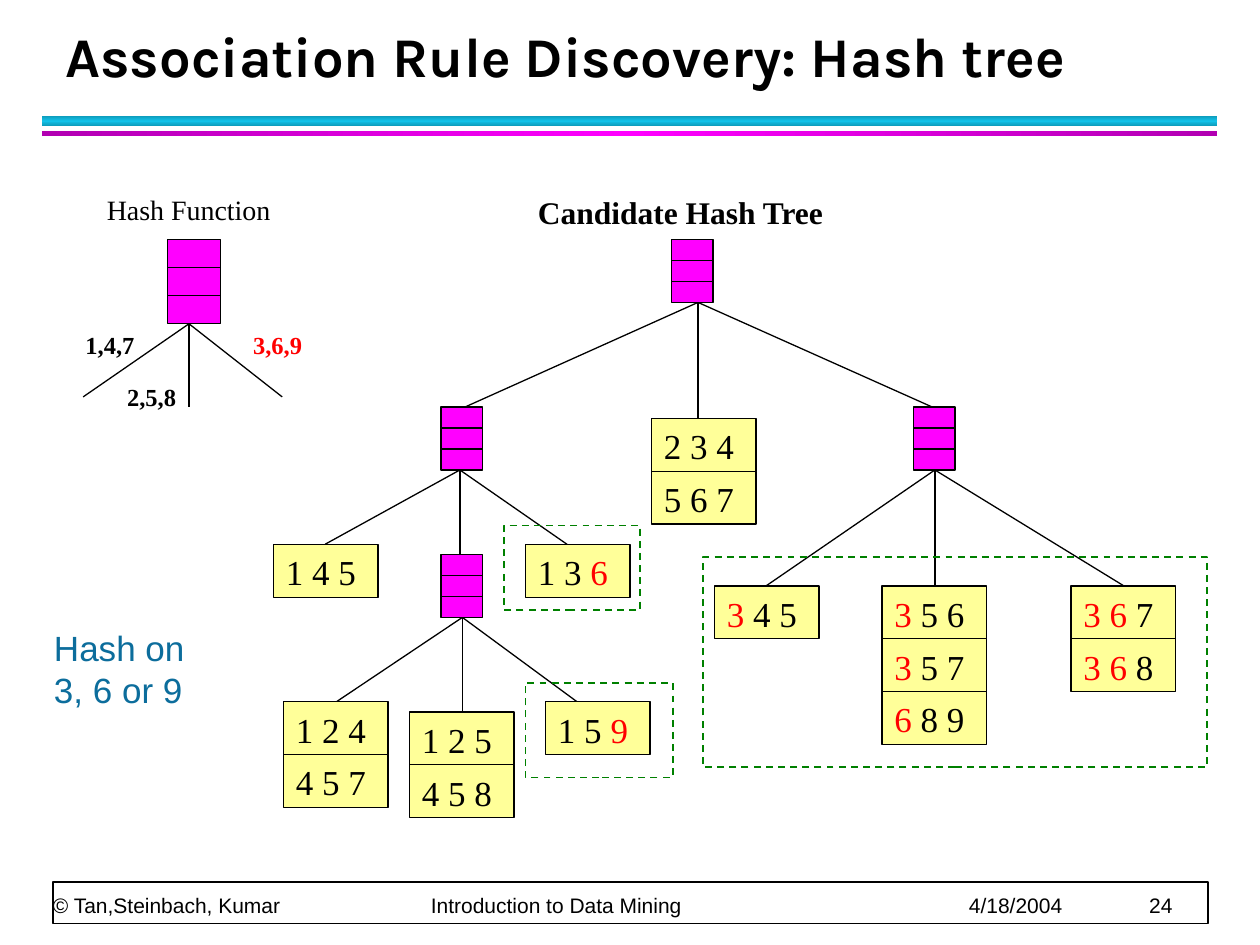
from copy import deepcopy
from dataclasses import dataclass

from pptx import Presentation
from pptx.dml.color import RGBColor
from pptx.enum.dml import MSO_LINE
from pptx.enum.shapes import MSO_CONNECTOR as Connector, MSO_SHAPE as Shape
from pptx.enum.text import MSO_ANCHOR as Anchor, PP_ALIGN as Align
from pptx.oxml.ns import qn
from pptx.util import Inches, Pt
from lxml.etree import SubElement


@dataclass(frozen=True)
class Theme:
    black: str = "000000"
    white: str = "FFFFFF"
    red: str = "FF0000"
    bucket: str = "FF00FF"
    leaf: str = "FFFF99"
    focus: str = "008000"
    note: str = "0C6D9C"
    cyan_band: tuple = ("0E9BBA", "12C2E9", "0E9BBA")
    magenta_band: tuple = ("B200B2", "FF00FF", "B200B2")
    title_font: str = "Karla"
    sans: str = "Arial"
    serif: str = "Times New Roman"
    title_size: int = 32
    leaf_size: int = 20
    heading_size: int = 18
    caption_size: int = 16
    label_size: int = 14
    footer_size: int = 12
    thin: float = 0.75
    frame: float = 1


LEAF_WIDTH, LEAF_HEIGHT = 0.83, 0.42
BUCKET_WIDTH, BUCKET_HEIGHT = 0.33, 0.5

# Start of each fan of branches, then the ends of the branches
TREE_FANS = [
    ((5.54, 2.4), [(3.67, 3.24), (5.54, 3.32), (7.42, 3.24)]),
    ((3.65, 3.73), [(2.58, 4.32), (3.65, 4.4), (4.5, 4.32)]),
    ((7.42, 3.73), [(6.08, 4.65), (7.42, 4.65), (8.92, 4.65)]),
    ((3.67, 4.9), [(2.67, 5.57), (3.67, 5.65), (4.58, 5.57)]),
]
HASH_FAN = ((1.5, 2.57), [(0.66, 3.15), (1.5, 3.23), (2.24, 3.15)])
BUCKETS = [(5.33, 1.9), (3.5, 3.23), (7.25, 3.23), (3.5, 4.4)]
# Items between bars are highlighted
LEAVES = [
    (2.17, 4.32, ["1 4 5"]),
    (4.17, 4.32, ["1 3 |6|"]),
    (5.17, 3.32, ["2 3 4", "5 6 7"]),
    (2.25, 5.57, ["1 2 4", "4 5 7"]),
    (3.25, 5.65, ["1 2 5", "4 5 8"]),
    (4.33, 5.57, ["1 5 |9|"]),
    (5.67, 4.65, ["|3| 4 5"]),
    (7, 4.65, ["|3| 5 6", "|3| 5 7", "|6| 8 9"]),
    (8.5, 4.65, ["|3 6| 7", "|3 6| 8"]),
]
FOCUS_FRAMES = [(4, 4.17, 1.08, 0.67), (4.17, 5.42, 1.17, 0.75), (5.58, 4.42, 4, 1.67)]
FOOTER = ["© Tan,Steinbach, Kumar", "Introduction to Data Mining", "4/18/2004", "24"]
FOOTER_TABS = [3, 7.27, 8.7]


def set_all(target, values):
    for name, value in values.items():
        setattr(target, name, value)


class SlidePainter:
    def __init__(self, page, theme):
        self.page, self.theme = page, theme

    def fill_text(self, shape, text, size, font, color=None, bold=False,
                  frame_format=None, para_format=None):
        """Fill a shape with one paragraph; parts between bars turn red."""
        frame = shape.text_frame
        set_all(frame, {"word_wrap": True, "vertical_anchor": Anchor.TOP, **(frame_format or {})})
        para = frame.paragraphs[0]
        set_all(para, {"alignment": Align.LEFT, **(para_format or {})})
        for index, part in enumerate(text.split("|")):
            if part:
                span = para.add_run()
                span.text = part
                set_all(span.font, {"size": Pt(size), "name": font, "bold": bold})
                tint = self.theme.red if index % 2 else color or self.theme.black
                span.font.color.rgb = RGBColor.from_string(tint)
        return para

    def text(self, place, text, size, font, **formats):
        box = self.page.shapes.add_textbox(*map(Inches, place))
        return self.fill_text(box, text, size, font, **formats)

    def rect(self, place, fill=None, line=None, width=None, dash=None):
        shape = self.page.shapes.add_shape(Shape.RECTANGLE, *map(Inches, place))
        shape.shadow.inherit = False
        if fill:
            shape.fill.solid()
            shape.fill.fore_color.rgb = RGBColor.from_string(fill)
        else:
            shape.fill.background()
        if line:
            shape.line.color.rgb = RGBColor.from_string(line)
            set_all(shape.line, {"width": Pt(width or self.theme.thin), "dash_style": dash})
        else:
            shape.line.fill.background()
        return shape

    def band(self, place, colors, angle):
        shape = self.rect(place)
        shape.fill.gradient()
        shape.fill.gradient_angle = angle
        stop_list = shape._element.spPr.find(qn("a:gradFill")).find(qn("a:gsLst"))
        stop_list.append(deepcopy(stop_list[0]))
        for index, (stop, color) in enumerate(zip(shape.fill.gradient_stops, colors)):
            stop.color.rgb = RGBColor.from_string(color)
            stop.position = index / (len(colors) - 1)

    def line(self, start, end):
        line = self.page.shapes.add_connector(
            Connector.STRAIGHT, *map(Inches, (*start, *end)))
        line.line.color.rgb = RGBColor.from_string(self.theme.black)
        line.line.width = Pt(self.theme.thin)
        SubElement(line._element.spPr, qn("a:effectLst"))

    def fan(self, start, ends):
        for end in ends:
            self.line(start, end)

    def bucket(self, left, top, width=BUCKET_WIDTH, height=BUCKET_HEIGHT):
        self.rect((left, top, width, height), self.theme.bucket, self.theme.black)
        for third in (1, 2):
            level = top + height * third / 3
            self.line((left, level), (left + width, level))

    def leaf(self, left, top, itemsets):
        for row, items in enumerate(itemsets):
            place = (left, top + row * LEAF_HEIGHT, LEAF_WIDTH, LEAF_HEIGHT)
            cell = self.rect(place, self.theme.leaf, self.theme.black)
            self.fill_text(cell, items, self.theme.leaf_size, self.theme.serif)

    def footer(self):
        theme = self.theme
        self.rect((0.42, 7, 9.17, 0.33), theme.white, theme.black, theme.frame)
        margins = dict.fromkeys(
            ("margin_left", "margin_top", "margin_right", "margin_bottom"), 0)
        para = self.text((0.42, 6.72, 9.15, 0.56), "\t".join(FOOTER), theme.footer_size,
                         theme.sans, frame_format={**margins, "vertical_anchor": Anchor.BOTTOM},
                         para_format={"line_spacing": Pt(20)})
        tab_list = SubElement(para._p.get_or_add_pPr(), qn("a:tabLst"))
        for stop in FOOTER_TABS:
            SubElement(tab_list, qn("a:tab"), pos=str(Inches(stop)), algn="l")


def main():
    deck = Presentation()
    set_all(deck, {"slide_width": Inches(10), "slide_height": Inches(7.5)})
    theme = Theme()
    painter = SlidePainter(deck.slides.add_slide(deck.slide_layouts[6]), theme)

    painter.band((0.33, 0.92, 9.33, 0.08), theme.cyan_band, 90)
    painter.band((0.33, 1.04, 9.33, 0.04), theme.magenta_band, 0)
    painter.footer()
    painter.text((0.42, 0.17, 9.06, 0.58), "Association Rule Discovery: Hash tree",
                 theme.title_size, theme.title_font, bold=True,
                 frame_format={"vertical_anchor": Anchor.BOTTOM},
                 para_format={"line_spacing": Pt(36)})

    for start, ends in TREE_FANS:
        painter.fan(start, ends)
    for left, top in BUCKETS:
        painter.bucket(left, top)
    for left, top, itemsets in LEAVES:
        painter.leaf(left, top, itemsets)

    painter.bucket(1.33, 1.9, 0.42, 0.67)
    painter.fan(*HASH_FAN)
    one_line = {"word_wrap": False}
    for left, top, label in [(0.58, 2.57, "1,4,7"), (0.91, 2.98, "2,5,8"), (1.91, 2.57, "|3,6,9|")]:
        painter.text((left, top, 0.59, 0.34), label, theme.label_size, theme.serif,
                     bold=True, frame_format=one_line)
    painter.text((0.75, 1.48, 1.5, 0.37), "Hash Function", theme.caption_size,
                 theme.serif, frame_format=one_line)
    painter.text((4.17, 1.48, 2.49, 0.4), "Candidate Hash Tree", theme.heading_size,
                 theme.serif, bold=True, frame_format=one_line)

    for place in FOCUS_FRAMES:
        painter.rect(place, line=theme.focus, width=theme.frame, dash=MSO_LINE.DASH)
    painter.text((0.33, 4.92, 1.25, 0.77), "Hash on 3, 6 or 9", theme.leaf_size,
                 theme.sans, color=theme.note, para_format={"space_before": Pt(12.5)})
    deck.save("out.pptx")


if __name__ == "__main__":
    main()
